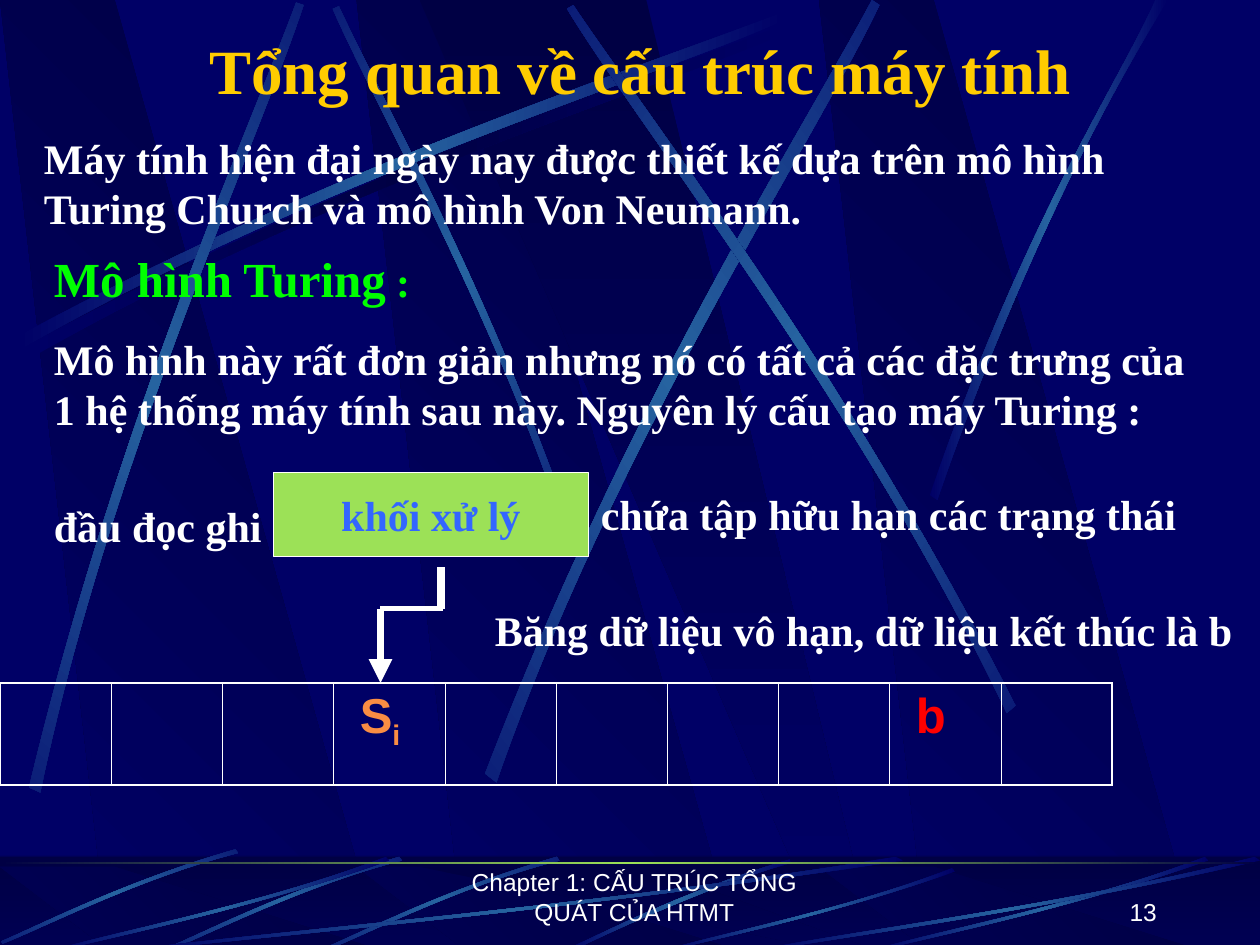
from math import cos, radians, sin
from lxml import etree
from pptx import Presentation
from pptx import util as u
from pptx.dml.color import RGBColor
from pptx.enum import shapes, text
from pptx.oxml.ns import qn

W, H = 10, 7.5
NAVY, DARK, STEEL, LIME, WHITE = "000066", "000044", "2663A0", "9CE157", "FFFFFF"
GLOW = (NAVY, STEEL, NAVY)
SERIF, SANS = "Times New Roman", "Arial"

TITLE = "Tổng quan về cấu trúc máy tính"
# left, top, width, height, paragraphs; each paragraph is a list of (text, size, colour)
NOTES = [
    (0.25, 1, 9.42, 0.9, [[("Máy tính hiện đại ngày nay được thiết kế dựa trên mô hình "
                           "Turing Church và mô hình Von Neumann.", 24, WHITE)]]),
    (0.33, 3.92, 2, 0.5, [[("đầu đọc ghi", 24, WHITE)]]),
    (4.67, 3.83, 4.92, 0.5, [[("chứa tập hữu hạn các trạng thái", 24, WHITE)]]),
    (3.83, 4.75, 6.17, 0.5, [[("Băng dữ liệu vô hạn, dữ liệu kết thúc là b", 24, WHITE)]]),
    (0.33, 1.92, 9.42, 1.58, [
        [("Mô hình Turing", 28, "00FF00"), (" :", 24, "00FF00")],
        [("Mô hình này rất đơn giản nhưng nó có tất cả các đặc trưng của 1 hệ thống "
          "máy tính sau này. Nguyên lý cấu tạo máy Turing :", 24, WHITE)]]),
]
FOOT = [(3.45, 3.17, "Chapter 1: CẤU TRÚC TỔNG QUÁT CỦA HTMT", "CENTER"),
        (7.2, 2.08, "13", "RIGHT")]
# column: (text, colour, baseline in thousandths of a percent)
TAPE = {3: [("S", "F98D43", 0), ("i", "F98D43", -25000)], 8: [("b", "FF0000", 0)]}
COLS = 10
# from x, y, to x, y, width, has an arrowhead
ARM = [(3.02, 4.83, 3.02, 5.42, 4.5, True),
       (3.02, 4.83, 3.52, 4.83, 3, False),
       (3.5, 4.83, 3.5, 4.5, 4.5, False)]

# Slabs: x in inches, y as a share of the height
SLAB = [(0.86, 1), (3.02, 1), (0.91, 0), (0, 0)]
BEAM = [(3.33, 0), (6.58, 1), (6.94, 1), (5.13, 0)]
# Streaks: two Bezier edges of four points each, there and back
FLAT = [(0.14, 2.67), (2.78, 1.25), (5.18, 0.51), (6.2, 0.1),
        (6.23, 0.16), (5.22, 0.61), (2.48, 1.43), (0.17, 2.77)]
STEEP = [  # rotation, edges
    (45, [(4.6, 4.36), (3.91, 2.34), (3.02, 0.77), (2.69, 0.05),
          (2.64, 0.07), (2.95, 0.79), (3.98, 2.58), (4.54, 4.39)]),
    (311.7, [(0.23, 6.25), (0.93, 3.34), (1.97, 1.05), (2.35, 0.02),
             (2.41, 0.04), (2.07, 1.08), (0.86, 3.68), (0.32, 6.29)]),
    (321.6, [(3.85, 6.14), (4.98, 3.2), (6.38, 1.02), (6.92, 0),
             (6.98, 0.04), (6.49, 1.08), (4.86, 3.55), (3.94, 6.21)]),
    (34.8, [(8.06, 5.6), (6.7, 2.93), (5.16, 0.95), (4.55, 0.04),
            (4.5, 0.07), (5.07, 1.01), (6.85, 3.25), (7.99, 5.66)]),
]
SIDE = [(7.38, 3.93), (8.14, 1.73), (8.88, 0.66), (9.17, 0),
        (9.27, 0), (8.36, 1.45), (7.69, 3.22), (7.44, 3.97)]
ARC = [(6.27, 6.82), (5.37, 7.09), (4.77, 7.42), (4.48, 7.54),
       (4.53, 7.55), (4.9, 7.37), (5.71, 7), (6.28, 6.85)]
DASH = [(4.42, 6.8), (3.55, 7.05), (2.87, 7.4), (2.56, 7.53),
        (2.57, 7.55), (2.88, 7.43), (3.65, 7.03), (4.44, 6.83)]
SWEEP = [(1, 0.04), (0.57, 0.57), (0.17, 0.85), (0.01, 1),
         (0, 0.99), (0.16, 0.81), (0.62, 0.51), (0.99, 0)]
# left, width, top
SWEEPS = [(1, 6.17, 6.8), (0.42, 2.67, 6.8), (5.27, 2.31, 6.89), (6.92, 2.67, 6.8), (6, 4, 6.8)]


def rgb(code):
    return RGBColor.from_string(code)


def sub(parent, tag, **attrs):
    return etree.SubElement(parent, qn(tag), attrs)


def paint(shape, colors, angle=0):
    """Fill with one colour, or with evenly spaced gradient stops (clockwise angle)."""
    shape.shadow.inherit = False
    shape.line.fill.background()
    if len(colors) == 1:
        shape.fill.solid()
        shape.fill.fore_color.rgb = rgb(colors[0])
        return
    shape.fill.gradient()
    grad = shape._element.spPr.find(qn("a:gradFill"))
    for child in list(grad):
        grad.remove(child)
    stops = sub(grad, "a:gsLst")
    for i, color in enumerate(colors):
        stop = sub(stops, "a:gs", pos=str(100000 * i // (len(colors) - 1)))
        sub(stop, "a:srgbClr", val=color)
    sub(grad, "a:lin", ang=str(angle * 60000), scaled="0")


def outline(points, colors, angle=0):
    pts = [(u.Inches(x), u.Inches(y)) for x, y in points]
    build = slide.shapes.build_freeform(*pts[0])
    build.add_line_segments(pts[1:], close=True)
    shape = build.convert_to_shape()
    paint(shape, colors, angle)
    return shape


def spin(x, y, deg):
    c, s = cos(radians(deg)), sin(radians(deg))
    return x * c - y * s, x * s + y * c


def streak(pts, colors=GLOW, turn=0, dx=0, dy=0):
    """Draw two Bezier edges, laid out unturned and then rotated into place."""
    shape = outline([spin(x + dx, y + dy, -turn) for x, y in pts], colors)
    lines = shape._element.findall(".//" + qn("a:lnTo"))
    for trio in (lines[:3], lines[4:]):
        curve = etree.Element(qn("a:cubicBezTo"))
        trio[0].addprevious(curve)
        for line in trio:
            curve.append(line[0])
            line.getparent().remove(line)
    x, y = spin(shape.left + shape.width / 2, shape.top + shape.height / 2, turn)
    shape.left, shape.top = round(x - shape.width / 2), round(y - shape.height / 2)
    shape.rotation = turn


def slabs(top, high):
    for dx in (2.83, 0, 6.5):
        outline([(x + dx, top + y * high) for x, y in SLAB], (DARK, NAVY), 135)
    outline([(x, top + y * high) for x, y in BEAM], (DARK, NAVY), 90)


def rect(*box):
    return slide.shapes.add_shape(shapes.MSO_SHAPE.RECTANGLE, *map(u.Inches, box))


def style(font, size, color, name, bold):
    font.size, font.name, font.bold = u.Pt(size), name, bold
    font.color.rgb = rgb(color)


def write(para, parts, name, bold=True):
    for part, size, color in parts:
        run = para.add_run()
        run.text = part
        style(run.font, size, color, name, bold)


def label(*box):
    frame = slide.shapes.add_textbox(*map(u.Inches, box)).text_frame
    frame.word_wrap = True
    return frame


def border(cell, col):
    props = cell._tc.get_or_add_tcPr()
    wide = {"L": col == 0, "R": col == COLS - 1, "T": True, "B": True}
    for i, side in enumerate("LRTB"):
        line = etree.Element(qn("a:ln" + side), w=str(u.Pt(1.08 if wide[side] else 0.45)))
        sub(sub(line, "a:solidFill"), "a:srgbClr", val=WHITE)
        props.insert(i, line)


deck = Presentation()
deck.slide_width, deck.slide_height = u.Inches(W), u.Inches(H)
slide = deck.slides.add_slide(deck.slide_layouts[5])
slide.background.fill.solid()
slide.background.fill.fore_color.rgb = rgb(NAVY)

# Backdrop
slabs(0, 7.52)
streak(FLAT, (NAVY, DARK, NAVY), dx=0.06, dy=0.08)
streak(STEEP[0][1], turn=STEEP[0][0])
streak(FLAT)
for turn, pts in STEEP[1:]:
    streak(pts, turn=turn)
streak(SIDE)
paint(rect(0, 6.8, W, 0.75), (DARK, NAVY), 90)
slabs(6.88, 0.66)
veil = rect(0, 6.79, W, 0.75)
paint(veil, (DARK,))
sub(veil._element.spPr.find(".//" + qn("a:srgbClr")), "a:alpha", val="50000")
streak(ARC)
for dx, dy in ((0, 0), (-1.25, 0), (-2.55, -0.06)):
    streak(DASH, turn=314.9, dx=dx, dy=dy)
for left, wide, top in SWEEPS:
    streak([(left + x * wide, top + y * (7.55 - top)) for x, y in SWEEP])
paint(rect(0, 6.84, W, 0.02), (DARK, LIME, DARK))

# Title, above the backdrop
title = slide.shapes.title
slide.shapes._spTree.append(title._element)
title.left, title.top, title.width, title.height = map(u.Inches, (0.83, 0.2, 8.5, 0.7))
title.text_frame.text = TITLE
title.text_frame.vertical_anchor = text.MSO_ANCHOR.MIDDLE
head = title.text_frame.paragraphs[0]
head.alignment = text.PP_ALIGN.CENTER
style(head.font, 36, "FFCC00", SERIF, True)

# Tape
grid = slide.shapes.add_table(1, COLS, 0, u.Inches(5.42), u.Inches(8.83), u.Inches(0.81)).table
grid.first_row = grid.horz_banding = False
for col in range(COLS):
    cell = grid.cell(0, col)
    cell.fill.background()
    border(cell, col)
    if col in TAPE:
        para = cell.text_frame.paragraphs[0]
        write(para, [(" ", 28, WHITE)], SANS, False)
        write(para, [(part, 28, color) for part, color, _ in TAPE[col]], SANS)
        for run, (*_, base) in zip(para.runs[1:], TAPE[col]):
            if base:
                run.font._element.set("baseline", str(base))

# Processing block and its arm
block = rect(2.17, 3.75, 2.5, 0.67)
paint(block, (LIME,))
block.line.color.rgb, block.line.width = rgb(WHITE), u.Pt(0.75)
block.text_frame.text = "khối xử lý"
name = block.text_frame.paragraphs[0]
name.alignment = text.PP_ALIGN.CENTER
style(name.font, 24, "3366FF", SERIF, True)
for *ends, wide, arrow in ARM:
    link = slide.shapes.add_connector(shapes.MSO_CONNECTOR.STRAIGHT, *map(u.Inches, ends))
    link.line.color.rgb, link.line.width = rgb(WHITE), u.Pt(wide)
    if arrow:
        sub(link.line._get_or_add_ln(), "a:tailEnd", type="triangle")
    sub(link._element.spPr, "a:effectLst")

# Text
for *box, paras in NOTES:
    frame = label(*box)
    for i, parts in enumerate(paras):
        para = frame.add_paragraph() if i else frame.paragraphs[0]
        para.space_before = u.Pt(15 if i else 0)
        write(para, parts, SERIF)
for left, wide, words, side in FOOT:
    frame = label(left, 6.9, wide, 0.5)
    frame.vertical_anchor = text.MSO_ANCHOR.BOTTOM
    frame.text = words
    para = frame.paragraphs[0]
    para.alignment = getattr(text.PP_ALIGN, side)
    style(para.font, 14, WHITE, SANS, False)

deck.save("out.pptx")
